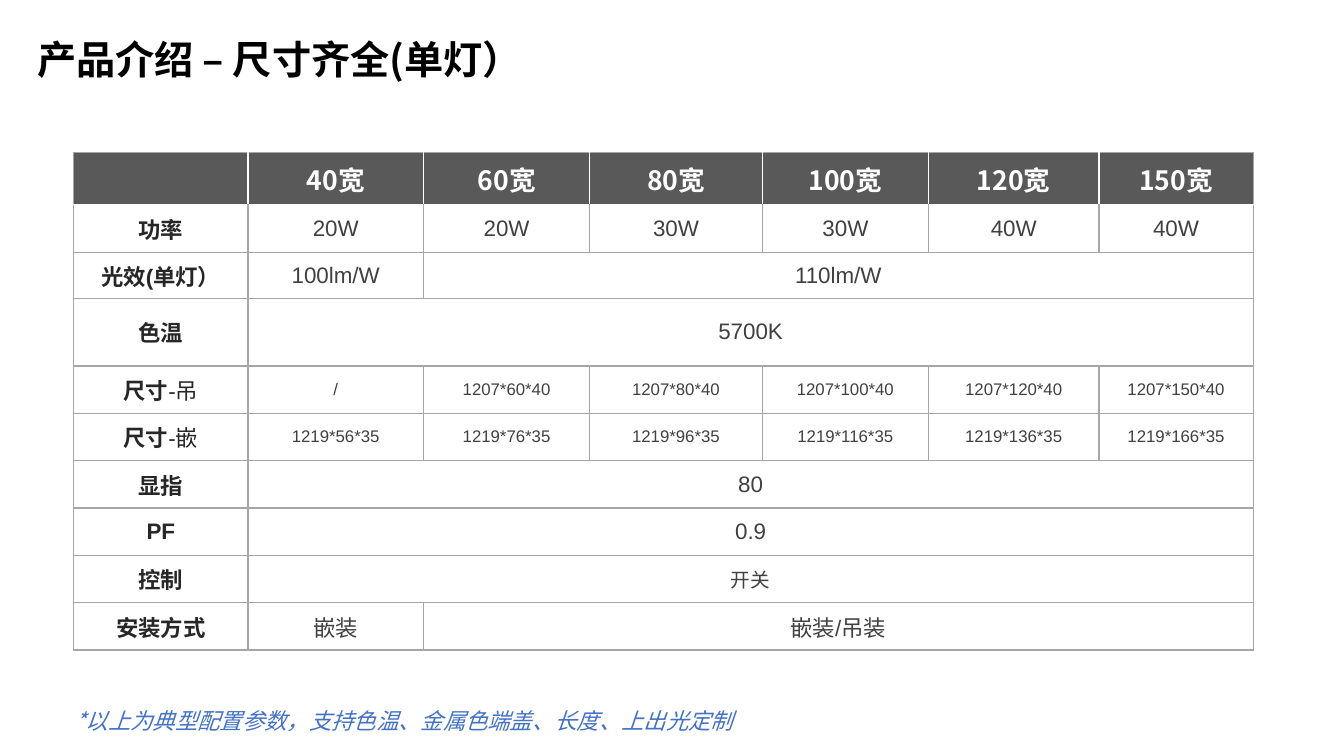
from lxml.etree import SubElement
from pptx import Presentation
from pptx.dml.color import RGBColor
from pptx.enum.text import MSO_ANCHOR, PP_ALIGN
from pptx.oxml import parse_xml
from pptx.oxml.ns import nsdecls, qn
from pptx.util import Inches, Pt

NOTO = "Noto Sans CJK SC"
WHITE, GRAY, DARK, BODY = "FFFFFF", "A6A6A6", "262626", "404040"


def paint(color):
    return RGBColor.from_string(color)


def write(para, text, size, color, face="Arial", bold=False, slant=False):
    run = para.add_run()
    run.text = text
    font = run.font
    font.size, font.name, font.bold, font.italic = Pt(size), face, bold, slant
    font.color.rgb = paint(color)
    SubElement(run._r.get_or_add_rPr(), qn("a:ea"), typeface=NOTO)


prs = Presentation()
prs.slide_width, prs.slide_height = Inches(13.33), Inches(7.5)
slide = prs.slides.add_slide(prs.slide_layouts[6])

widths = [1.73, 1.74, 1.65, 1.71, 1.65, 1.69, 1.53]
heights = [0.52, 0.47, 0.45, 0.67] + [0.47] * 6
sizes = [40, 60, 80, 100, 120, 150]
rows = [
    [""] + [f"{size}宽" for size in sizes],
    ["功率", "20W", "20W", "30W", "30W", "40W", "40W"],
    ["光效(单灯）", "100lm/W", "110lm/W"],
    ["色温", "5700K"],
    ["尺寸-吊", "/"] + [f"1207*{size}*40" for size in sizes[1:]],
    ["尺寸-嵌"] + [f"1219*{size + 16}*35" for size in sizes],
    ["显指", "80"],
    ["PF", "0.9"],
    ["控制", "开关"],
    ["安装方式", "嵌装", "嵌装/吊装"],
]
points = {4: 12, 5: 12, 8: 14}
last = len(widths) - 1

frame = slide.shapes.add_table(len(rows), len(widths), Inches(0.73), Inches(1.51),
                               Inches(sum(widths)), Inches(sum(heights)))
table = frame.table
table.first_row = table.horz_banding = False
for col, width in zip(table.columns, widths):
    col.width = Inches(width)
for row, height in zip(table.rows, heights):
    row.height = Inches(height)

for r, texts in enumerate(rows):
    for c in range(last + 1):
        cell = table.cell(r, c)
        cell.margin_left = cell.margin_right = Inches(0.13)
        cell.margin_top = cell.margin_bottom = Inches(0.07)
        cell.vertical_anchor = MSO_ANCHOR.MIDDLE
        if r == 0:
            cell.fill.solid()
            cell.fill.fore_color.rgb = paint("595959")
        else:
            cell.fill.background()
        edges = {
            "L": WHITE if r == 0 and c > 0 else GRAY,
            "R": WHITE if r == 0 and c < last else GRAY,
            "T": WHITE if r == 1 else GRAY,
            "B": WHITE if r == 0 else GRAY,
        }
        for i, (side, color) in enumerate(edges.items()):
            line = parse_xml(
                f'<a:ln{side} {nsdecls("a")} w="12700"><a:solidFill>'
                f'<a:srgbClr val="{color}"/></a:solidFill></a:ln{side}>')
            cell._tc.get_or_add_tcPr().insert(i, line)

        if c >= len(texts) or not texts[c]:
            continue
        para = cell.text_frame.paragraphs[0]
        para.alignment = PP_ALIGN.CENTER
        if r == 0:
            write(para, texts[c], 19, WHITE, NOTO, bold=True)
        elif c == 0:
            name, dash, kind = texts[c].partition("-")
            write(para, name, 16, DARK, bold=True)
            if kind:
                write(para, dash + kind, 16, DARK)
        else:
            write(para, texts[c], points.get(r, 16), BODY)
    if len(texts) <= last:
        table.cell(r, len(texts) - 1).merge(table.cell(r, last))

title = slide.shapes.add_textbox(Inches(0.27), Inches(0.3), Inches(5.12), Inches(0.57))
title.text_frame.word_wrap = True
write(title.text_frame.paragraphs[0], "产品介绍 – 尺寸齐全(单灯）", 28, "000000", NOTO, bold=True)

note = slide.shapes.add_textbox(Inches(0.65), Inches(6.97), Inches(6.92), Inches(0.37))
note.text_frame.word_wrap = True
write(note.text_frame.paragraphs[0], "*以上为典型配置参数，支持色温、金属色端盖、长度、上出光定制",
      16, "4472C4", NOTO, slant=True)

prs.save("out.pptx")
